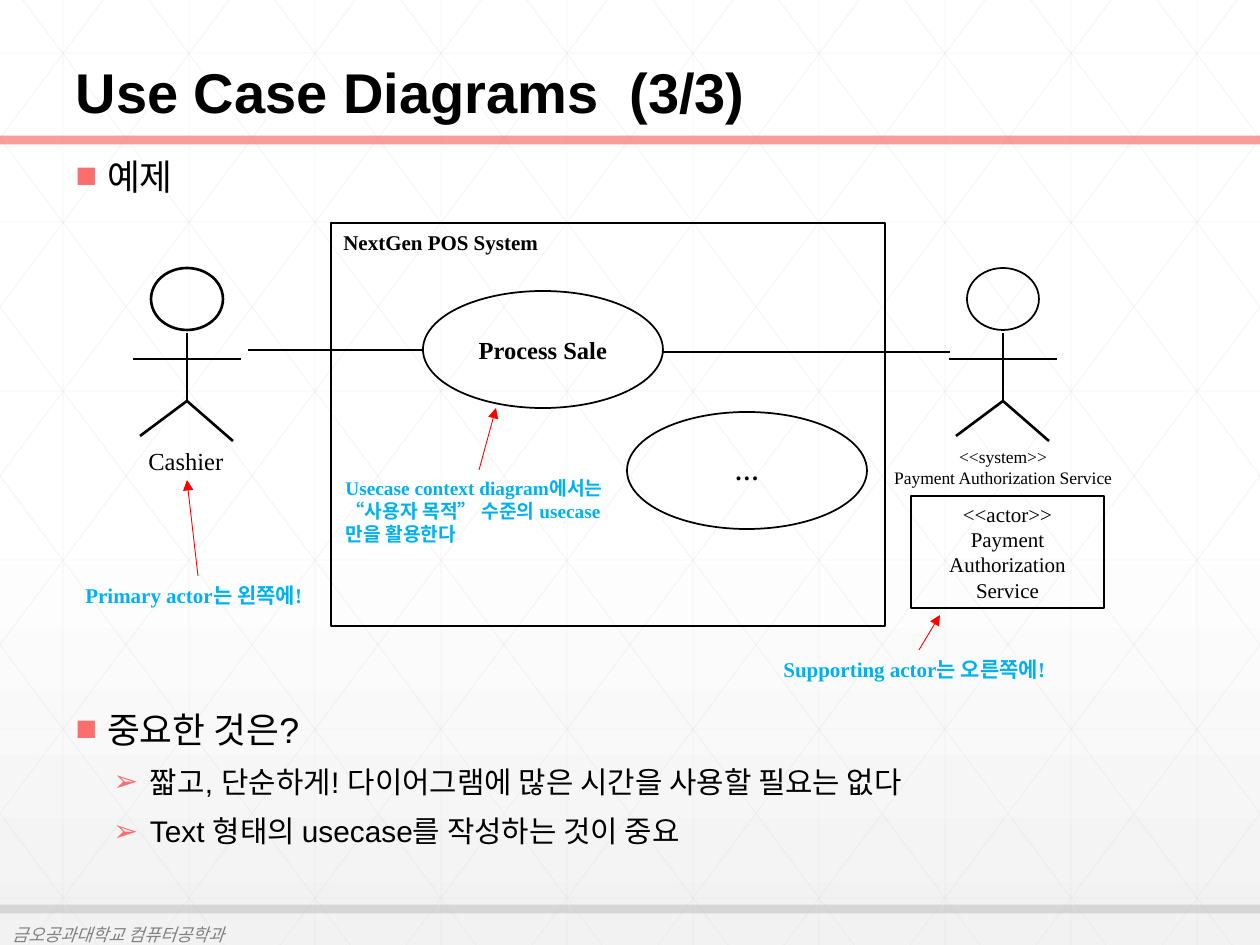
from lxml import etree
from pptx import Presentation
from pptx import util as u
from pptx.dml.color import RGBColor
from pptx.enum import shapes, text
from pptx.oxml.ns import qn

PX = 914400 / 126
W, H = 1260, 945
SANS, SERIF = "Arial", "Times New Roman"
BLACK, RED, BLUE, CORAL = "000000", "FF0000", "00B0F0", "FA6E6E"
MID, TOP = text.MSO_ANCHOR.MIDDLE, text.MSO_ANCHOR.TOP
CENTER, LEFT = text.PP_ALIGN.CENTER, text.PP_ALIGN.LEFT


def px(n):
    return u.Emu(round(n * PX))


def rgb(value):
    return RGBColor.from_string(value)


def sub(parent, tag, **attrs):
    return etree.SubElement(parent, qn(tag), attrs)


class Deck:
    """Holds the style and the current slide."""

    def __init__(self):
        self.prs = Presentation()
        self.prs.slide_width, self.prs.slide_height = px(W), px(H)
        self.s = self.prs.slides.add_slide(self.prs.slide_layouts[1])

    def background(self, top, bottom):
        fill = self.s.background.fill
        fill.gradient()
        fill.gradient_angle = 270
        for stop, pos, color in zip(fill.gradient_stops, (0.53, 1), (top, bottom)):
            stop.position = pos
            stop.color.rgb = rgb(color)

    def style_font(self, p, size, color=BLACK, name=SANS, bold=False, italic=False):
        values = {"size": u.Pt(size), "name": name, "bold": bold, "italic": italic}
        for key, value in values.items():
            setattr(p.font, key, value)
        p.font.color.rgb = rgb(color)

    def fill_text(self, tf, lines, anchor=TOP, align=LEFT, wrap=True, **fmt):
        tf.word_wrap, tf.vertical_anchor = wrap, anchor
        for i, line in enumerate(lines):
            p = tf.paragraphs[0] if i == 0 else tf.add_paragraph()
            p.add_run().text = line
            p.alignment = align
            self.style_font(p, **fmt)

    def line(self, x1, y1, x2, y2, color=BLACK, width=1, alpha=None, arrow=False):
        cn = self.s.shapes.add_connector(
            shapes.MSO_CONNECTOR.STRAIGHT, px(x1), px(y1), px(x2), px(y2))
        cn.line.color.rgb = rgb(color)
        cn.line.width = u.Pt(width)
        ln = cn.line._get_or_add_ln()
        if alpha:
            sub(ln.find(".//" + qn("a:srgbClr")), "a:alpha", val=str(alpha * 1000))
        if arrow:
            sub(ln, "a:tailEnd", type="triangle")
        sub(cn._element.spPr, "a:effectLst")

    def shape(self, kind, box, lines=(), width=1, **fmt):
        sp = self.s.shapes.add_shape(kind, *map(px, box))
        sp.shadow.inherit = False
        sp.fill.background()
        sp.line.color.rgb = rgb(BLACK)
        sp.line.width = u.Pt(width)
        if lines:
            self.fill_text(sp.text_frame, lines, name=SERIF, **fmt)

    def text(self, box, lines, grow=True, **fmt):
        tf = self.s.shapes.add_textbox(*map(px, box)).text_frame
        self.fill_text(tf, lines, **fmt)
        if grow:
            tf.auto_size = text.MSO_AUTO_SIZE.SHAPE_TO_FIT_TEXT

    def placeholder(self, index, box, anchor):
        """Place a template placeholder in front of what is drawn so far."""
        sp = self.s.placeholders[index]
        sp.left, sp.top, sp.width, sp.height = map(px, box)
        self.s.shapes._spTree.append(sp._element)
        tf = sp.text_frame
        tf.auto_size, tf.vertical_anchor = text.MSO_AUTO_SIZE.NONE, anchor
        return tf

    def title(self, box, words):
        tf = self.placeholder(0, box, text.MSO_ANCHOR.BOTTOM)
        p = tf.paragraphs[0]
        p.text, p.alignment, p.line_spacing = words, LEFT, 0.9
        self.style_font(p, 32, bold=True)

    def bullets(self, box, items):
        """Items are (level, space before in points, words)."""
        styles = [("■", 0.25, 0.25, 0.7, 20.4), ("➢", 0.59, 0.29, 0.8, 17)]
        tf = self.placeholder(1, box, TOP)
        for i, (level, before, words) in enumerate(items):
            char, margin, hang, spacing, size = styles[level]
            p = tf.paragraphs[0] if i == 0 else tf.add_paragraph()
            p.text, p.level = words, level
            p.line_spacing, p.space_before = spacing, u.Pt(before)
            pPr = p._p.get_or_add_pPr()
            pPr.set("marL", str(u.Inches(margin)))
            pPr.set("indent", str(-u.Inches(hang)))
            sub(sub(pPr, "a:buClr"), "a:srgbClr", val=CORAL)
            sub(pPr, "a:buFont", typeface=SANS)
            sub(pPr, "a:buChar", char=char)
            self.style_font(p, size)

    def mesh(self):
        """Faint grid with two mirrored sets of diagonals, cut at the slide edges."""
        run = 705
        segments = [(x, 0, x, H) for x in range(63, W, 126)]
        segments += [(0, y, W, y) for y in range(53, H, 169)]
        for x in range(23 - 5 * 126, W, 126):
            x1, x2 = max(x, 0), min(x + run, W)
            y1, y2 = ((end - x) * H / run for end in (x1, x2))
            segments += [(x1, y1, x2, y2), (W - x1, y1, W - x2, y2)]
        for segment in segments:
            self.line(*segment, color="D9D9D9", width=0.5, alpha=25)

    def actor(self, x, head_width):
        """Stick figure centred on x."""
        self.shape(shapes.MSO_SHAPE.OVAL, (x - 36, 268, 72, 62), width=head_width)
        for x1, y1, x2, y2 in [(-54, 359, 54, 359), (0, 401, 0, 333),
                               (-47, 436, 0, 401), (46, 441, 0, 401)]:
            self.line(x + x1, y1, x + x2, y2, width=1.5)


def main():
    d = Deck()
    d.background("FFFFFF", "F2F2F2")
    d.mesh()
    d.line(0, 140, W, 140, CORAL, 5, alpha=68)
    d.line(0, 909, W, 909, "BFBFBF", 5, alpha=55)
    d.bullets((63, 160, 1134, 735), [
        (0, 0, "예제"),
        (0, 299, "중요한 것은?"),
        (1, 12, "짧고, 단순하게! 다이어그램에 많은 시간을 사용할 필요는 없다"),
        (1, 12, "Text 형태의 usecase를 작성하는 것이 중요"),
    ])
    d.title((63, 0, 1134, 132), "Use Case Diagrams  (3/3)")
    d.text((0, 919, 634, 30), ["금오공과대학교 컴퓨터공학과"], grow=False,
           anchor=MID, size=10, color="808080", italic=True)

    d.actor(187, 1.5)
    d.shape(shapes.MSO_SHAPE.RECTANGLE, (331, 223, 554, 403),
            ["NextGen POS System"], size=12, bold=True)
    d.actor(1003, 1)
    d.shape(shapes.MSO_SHAPE.RECTANGLE, (911, 496, 193, 112),
            ["<<actor>>", "Payment", "Authorization", "Service"],
            size=12, anchor=MID, align=CENTER)
    for x, y, name in [(423, 291, "Process Sale"), (627, 412, "…")]:
        d.shape(shapes.MSO_SHAPE.OVAL, (x, y, 240, 117), [name],
                size=14, bold=True, anchor=MID, align=CENTER)
    d.line(248, 350, 423, 350)
    d.line(662, 352, 950, 352)

    notes = [
        ((198, 576, 187, 480), (73, 576, 251, 38), 12, False,
         ["Primary actor는 왼쪽에!"]),
        ((919, 650, 940, 615), (771, 650, 296, 38), 12, False,
         ["Supporting actor는 오른쪽에!"]),
        ((479, 470, 496, 408), (333, 470, 294, 83), 11, True,
         ["Usecase context diagram에서는", "“사용자 목적” 수준의 usecase만을 활용한다"]),
    ]
    for arrow, box, size, wrap, lines in notes:
        d.line(*arrow, color=RED, width=0.5, arrow=True)
        d.text(box, lines, size=size, wrap=wrap, color=BLUE, name=SERIF, bold=True)

    d.text((136, 440, 101, 43), ["Cashier"], size=14, wrap=False, name=SERIF)
    d.text((879, 440, 248, 55), ["<<system>>", "Payment Authorization Service"],
           size=10, wrap=False, align=CENTER, name=SERIF)
    d.prs.save("out.pptx")


if __name__ == "__main__":
    main()
